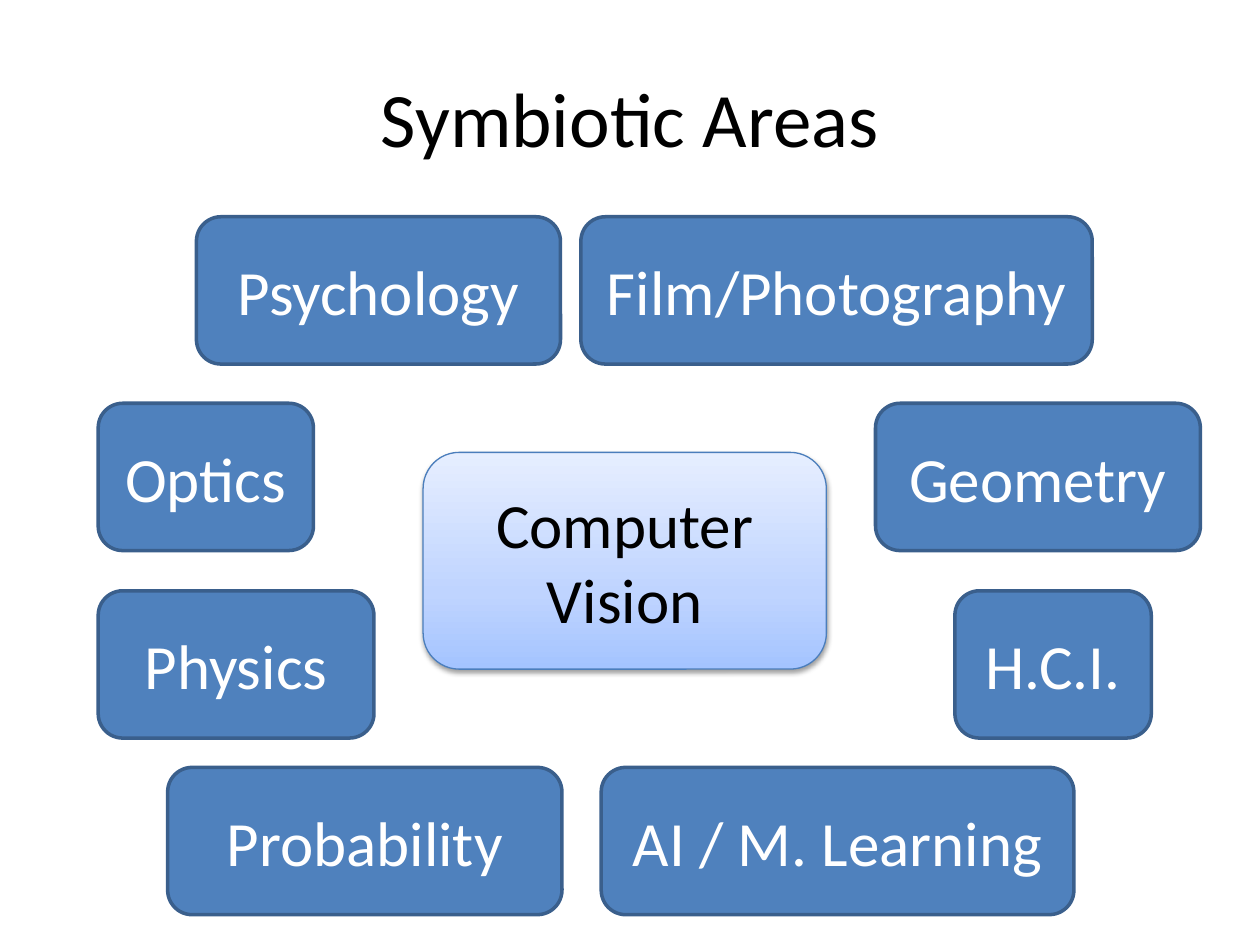
import copy
import pptx
import pptx.util
import pptx.dml.color
import pptx.enum.shapes
import pptx.enum.text
import pptx.oxml
import pptx.oxml.ns

Cm = pptx.util.Cm
Pt = pptx.util.Pt


def rgb(code):
    return pptx.dml.color.RGBColor.from_string(code)


def write(shape, text, size=36, color="FFFFFF", face="Calibri"):
    frame = shape.text_frame
    frame.word_wrap = True
    frame.vertical_anchor = pptx.enum.text.MSO_ANCHOR.MIDDLE
    frame.text = text
    para = frame.paragraphs[0]
    para.alignment = pptx.enum.text.PP_ALIGN.CENTER
    para.font.size = Pt(size)
    para.font.name = face
    para.font.color.rgb = rgb(color)


deck = pptx.Presentation()
deck.slide_width, deck.slide_height = Cm(25.4), Cm(19.05)
slide = deck.slides.add_slide(deck.slide_layouts[5])
round_box = pptx.enum.shapes.MSO_SHAPE.ROUNDED_RECTANGLE

# Title
title = slide.shapes.title
title.left, title.top, title.width, title.height = Cm(1.27), Cm(0.76), Cm(22.86), Cm(3.18)
write(title, "Symbiotic Areas", size=44, color="000000")

# Central field with gradient and soft shadow
hub = slide.shapes.add_shape(round_box, Cm(8.53), Cm(9.12), Cm(8.13), Cm(4.37))
hub.fill.gradient()
hub.fill.gradient_angle = 90
stops = hub.element.spPr.find(".//" + pptx.oxml.ns.qn("a:gsLst"))
stops.append(copy.deepcopy(stops[0]))
shades = [(0, "A4C4FF"), (0.35, "BFD4FF"), (1, "E6EEFF")]
for stop, (place, shade) in zip(hub.fill.gradient_stops, shades):
    stop.position = place
    stop.color.rgb = rgb(shade)
hub.line.color.rgb = rgb("4B7EBC")
hub.line.width = Pt(0.75)
hub.shadow.inherit = False
effects = hub.element.spPr.find(pptx.oxml.ns.qn("a:effectLst"))
effects.append(pptx.oxml.parse_xml(
    f'<a:outerShdw {pptx.oxml.ns.nsdecls("a")} blurRad="{Pt(3.1)}" dist="{Pt(1.6)}"'
    ' dir="5400000" rotWithShape="0">'
    '<a:srgbClr val="000000"><a:alpha val="38000"/></a:srgbClr></a:outerShdw>'))
write(hub, "Computer Vision", color="000000")

# Related areas: top of each row, then text, left and width
rows = [
    (4.37, [("Psychology", 3.96, 7.34), ("Film/Photography", 11.71, 10.31)]),
    (8.13, [("Optics", 1.98, 4.34), ("Geometry", 17.65, 6.55)]),
    (11.91, [("Physics", 1.98, 5.56), ("H.C.I.", 19.25, 3.96)]),
    (15.47, [("Probability", 3.38, 7.95), ("AI / M. Learning", 12.12, 9.53)]),
]
for top, areas in rows:
    for text, left, width in areas:
        box = slide.shapes.add_shape(round_box, Cm(left), Cm(top), Cm(width), Cm(2.97))
        box.shadow.inherit = False
        box.fill.solid()
        box.fill.fore_color.rgb = rgb("4F81BD")
        box.line.color.rgb = rgb("3A5F8C")
        box.line.width = Pt(2)
        write(box, text)

deck.save("out.pptx")
